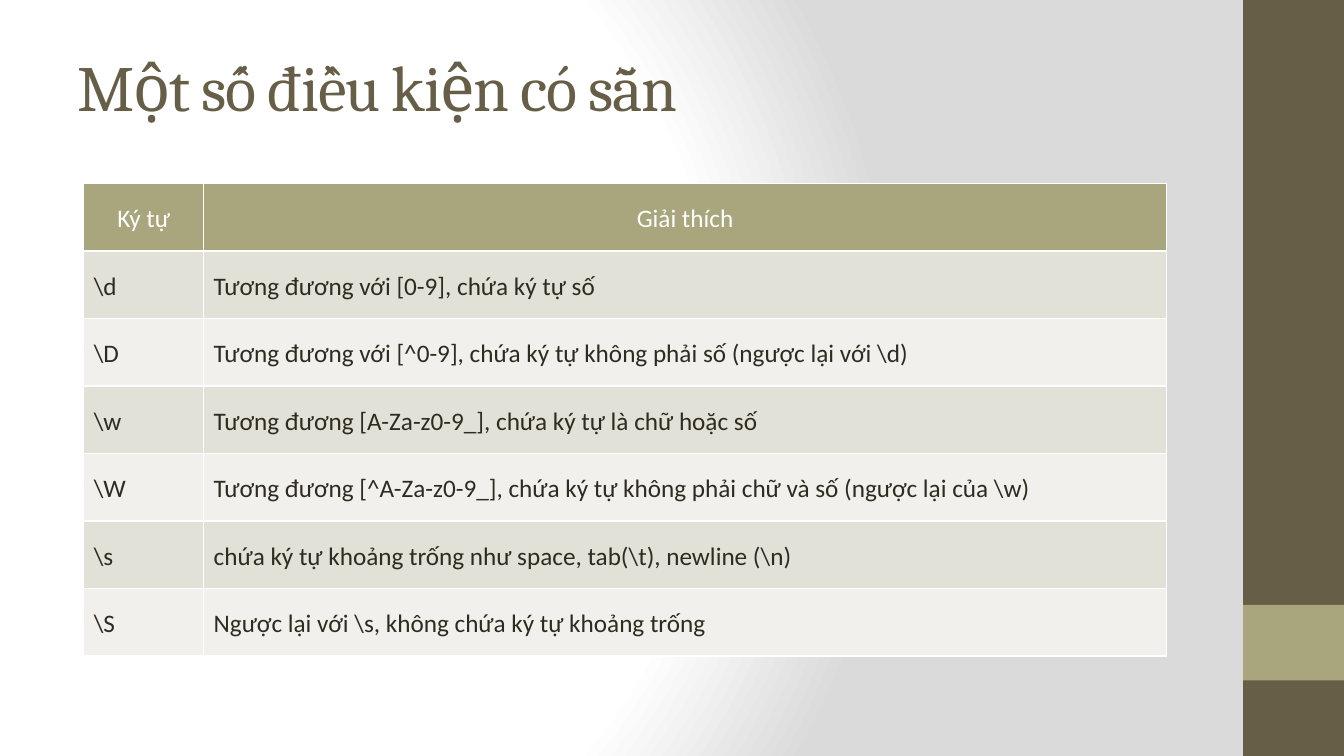
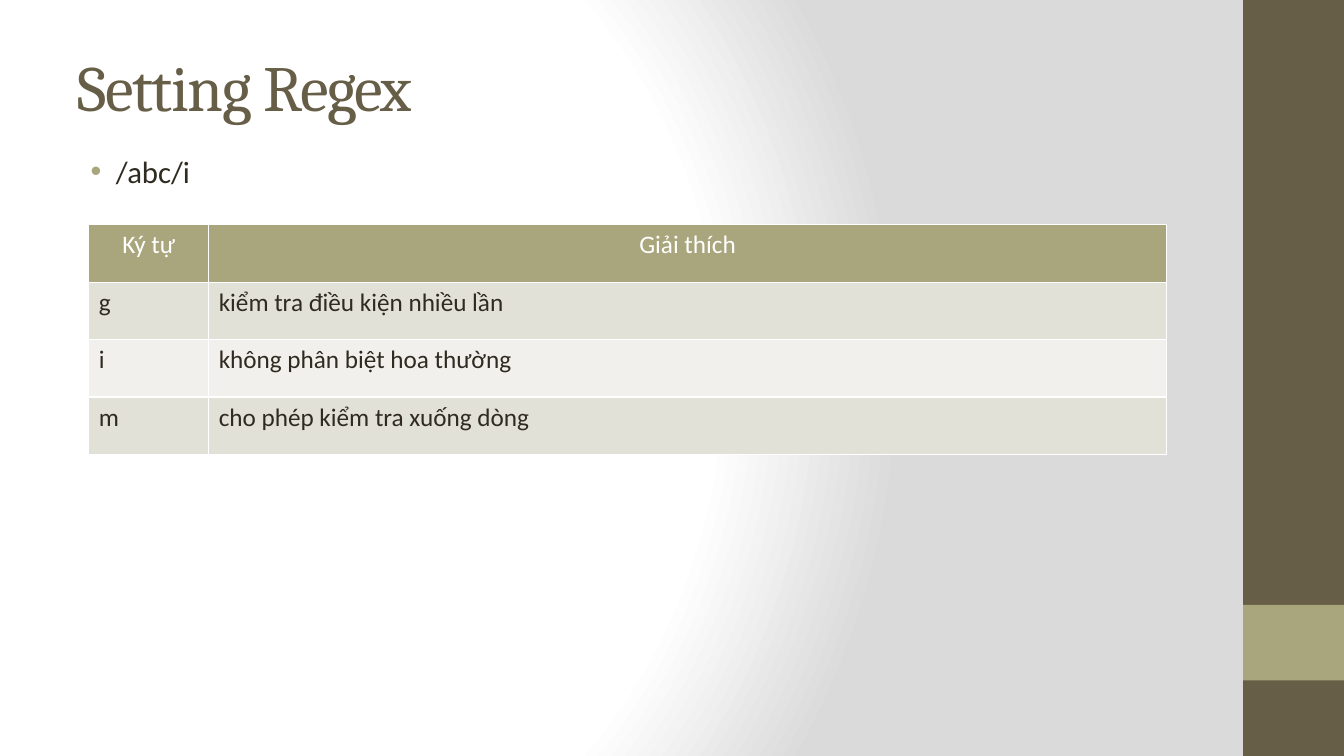
from lxml import etree
from pptx import Presentation
from pptx.dml.color import RGBColor
from pptx.enum.shapes import MSO_SHAPE
from pptx.enum.text import PP_ALIGN
from pptx.oxml import parse_xml
from pptx.oxml.ns import nsdecls, qn
from pptx.util import Inches, Pt

RECTANGLE = MSO_SHAPE.RECTANGLE
CENTER, LEFT = PP_ALIGN.CENTER, PP_ALIGN.LEFT

COLORS = {
    "brown": "675E47",
    "olive": "A9A57C",
    "text": "2F2B20",
    "white": "FFFFFF",
    "gray": "DADADA",
    "band_dark": "E2E1D7",
    "band_light": "F1F0EC",
}
HEADING_FONT, BODY_FONT = "Cambria", "Calibri"
KEY_WIDTH = 1.19
HEADER = ("Ký tự", "Giải thích")

PAGES = [
    {
        "title": "Một số điều kiện có sẵn",
        "bullet": None,
        "table": (0.83, 1.82, 10.74),
        "row_height": 0.67,
        "line_spacing": 1.5,
        "rows": [
            (r"\d", "Tương đương với [0-9], chứa ký tự số"),
            (r"\D", r"Tương đương với [^0-9], chứa ký tự không phải số (ngược lại với \d)"),
            (r"\w", "Tương đương [A-Za-z0-9_], chứa ký tự là chữ hoặc số"),
            (r"\W", r"Tương đương [^A-Za-z0-9_], chứa ký tự không phải chữ và số (ngược lại của \w)"),
            (r"\s", r"chứa ký tự khoảng trống như space, tab(\t), newline (\n)"),
            (r"\S", r"Ngược lại với \s, không chứa ký tự khoảng trống"),
        ],
    },
    {
        "title": "Setting Regex",
        "bullet": "/abc/i",
        "table": (0.88, 2.23, 10.69),
        "row_height": 0.57,
        "line_spacing": 1.0,
        "rows": [
            ("g", "kiểm tra điều kiện nhiều lần"),
            ("i", "không phân biệt hoa thường"),
            ("m", "cho phép kiểm tra xuống dòng"),
        ],
    },
]


def place(shape, left, top, width, height):
    shape.left, shape.top = Inches(left), Inches(top)
    shape.width, shape.height = Inches(width), Inches(height)


def format_cell(cell, text, fill, color, align, line_spacing):
    cell.text_frame.text = text
    para = cell.text_frame.paragraphs[0]
    para.alignment = align
    para.line_spacing = line_spacing
    font = para.runs[0].font
    font.name, font.size, font.bold = BODY_FONT, Pt(18), False
    font.color.rgb = RGBColor.from_string(COLORS[color])
    properties = cell._tc.get_or_add_tcPr()
    for side in ("lnL", "lnR", "lnT", "lnB"):
        line = etree.SubElement(properties, qn(f"a:{side}"), w=str(Pt(1)))
        line_fill = etree.SubElement(line, qn("a:solidFill"))
        etree.SubElement(line_fill, qn("a:srgbClr"), val=COLORS["white"])
    cell.fill.solid()
    cell.fill.fore_color.rgb = RGBColor.from_string(COLORS[fill])


deck = Presentation()
deck.slide_width, deck.slide_height = Inches(13.33), Inches(7.5)
master = deck.slide_master
common = master.element.find(qn("p:cSld"))

# Shared background: white glow fading to gray
common.remove(common.find(qn("p:bg")))
stops = "".join(
    f'<a:gs pos="{position}"><a:srgbClr val="{COLORS[name]}"/></a:gs>'
    for position, name in ((0, "white"), (75000, "white"), (100000, "gray"))
)
common.insert(0, parse_xml(
    f'<p:bg {nsdecls("p", "a")}><p:bgPr><a:gradFill rotWithShape="1">'
    f'<a:gsLst>{stops}</a:gsLst><a:path path="circle">'
    '<a:fillToRect l="20000" t="50000" r="100000" b="50000"/></a:path>'
    '</a:gradFill><a:effectLst/></p:bgPr></p:bg>'
))

# Shared title and list styles
title_holder, body_holder = list(master.placeholders)[:2]
place(title_holder, 0.67, 0.3, 11.11, 1.25)
place(body_holder, 0.67, 1.28, 9.98, 6.22)
level_styles = {
    "p:titleStyle": f'''<a:lvl1pPr {nsdecls("a")} algn="l">
        <a:lnSpc><a:spcPct val="80000"/></a:lnSpc><a:buNone/>
        <a:defRPr sz="4600" spc="-100">
        <a:solidFill><a:srgbClr val="{COLORS["brown"]}"/></a:solidFill>
        <a:latin typeface="{HEADING_FONT}"/></a:defRPr></a:lvl1pPr>''',
    "p:bodyStyle": f'''<a:lvl1pPr {nsdecls("a")} algn="l"
        marL="{Inches(0.38)}" indent="{Inches(-0.25)}">
        <a:lnSpc><a:spcPct val="150000"/></a:lnSpc>
        <a:spcBef><a:spcPct val="20000"/></a:spcBef>
        <a:buClr><a:srgbClr val="{COLORS["olive"]}"/></a:buClr>
        <a:buFont typeface="Arial"/><a:buChar char="•"/>
        <a:defRPr sz="2200">
        <a:solidFill><a:srgbClr val="{COLORS["text"]}"/></a:solidFill>
        <a:latin typeface="{BODY_FONT}"/></a:defRPr></a:lvl1pPr>''',
}
for style_name, level_xml in level_styles.items():
    style = master.element.find(qn("p:txStyles")).find(qn(style_name))
    style.replace(style.find(qn("a:lvl1pPr")), parse_xml(level_xml))

# Slides
slides = []
for page in PAGES:
    layout = deck.slide_layouts[1 if page["bullet"] else 5]
    slide = deck.slides.add_slide(layout)
    slides.append(slide)
    slide.shapes.title.text_frame.text = page["title"]
    if page["bullet"]:
        slide.placeholders[1].text_frame.text = page["bullet"]

    # Table of characters and their meaning
    left, top, width = page["table"]
    rows = [HEADER] + page["rows"]
    table = slide.shapes.add_table(
        len(rows), 2, Inches(left), Inches(top),
        Inches(width), Inches(page["row_height"] * len(rows)),
    ).table
    table.first_row = table.horz_banding = False
    table.columns[0].width = Inches(KEY_WIDTH)
    table.columns[1].width = Inches(width - KEY_WIDTH)
    for row_index, row in enumerate(rows):
        table.rows[row_index].height = Inches(page["row_height"])
        if row_index == 0:
            look = ("olive", "white", CENTER)
        else:
            look = ("band_dark" if row_index % 2 else "band_light", "text", LEFT)
        for column_index, text in enumerate(row):
            format_cell(table.cell(row_index, column_index), text, *look,
                        page["line_spacing"])

# Side bands, drawn once and moved to the master behind its placeholders
master_tree = common.find(qn("p:spTree"))
for order, (color, top, height) in enumerate((("brown", 0, 7.5), ("olive", 6, 0.75))):
    band = slides[0].shapes.add_shape(
        RECTANGLE, Inches(12.33), Inches(top), Inches(1), Inches(height))
    band.shadow.inherit = False
    band.fill.solid()
    band.fill.fore_color.rgb = RGBColor.from_string(COLORS[color])
    band.line.fill.background()
    band.element.nvSpPr.cNvPr.set("id", str(20 + order))
    master_tree.insert(2 + order, band.element)

deck.save("out.pptx")
